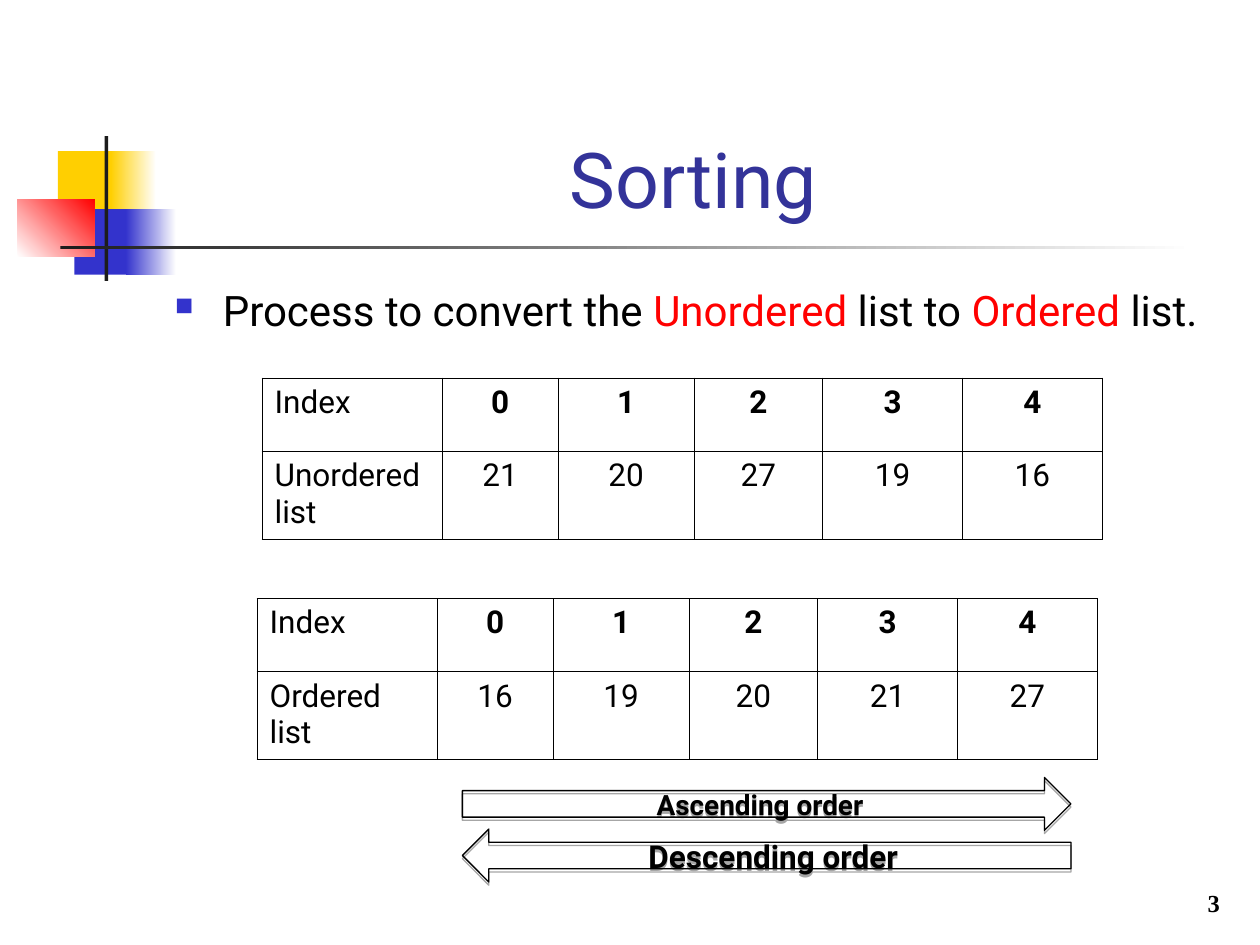
from lxml.etree import SubElement
from pptx import Presentation
from pptx.dml.color import RGBColor
from pptx.enum.shapes import MSO_SHAPE as SHAPE
from pptx.enum.text import MSO_ANCHOR as ANCHOR, PP_ALIGN as ALIGN
from pptx.oxml import parse_xml
from pptx.oxml.ns import nsdecls, qn
from pptx.util import Inches, Pt

BLACK = RGBColor(0x00, 0x00, 0x00)
WHITE = RGBColor(0xFF, 0xFF, 0xFF)
INK = RGBColor(0x1C, 0x1C, 0x1C)
YELLOW = RGBColor(0xFF, 0xCF, 0x01)
BLUE = RGBColor(0x33, 0x33, 0xCC)
NAVY = RGBColor(0x33, 0x33, 0x99)
RED = RGBColor(0xFF, 0x00, 0x00)

prs = Presentation()
prs.slide_width, prs.slide_height = Inches(10), Inches(7.5)
s = prs.slides.add_slide(prs.slide_layouts[6])
UNIT = prs.slide_width // 1000


def grid(*cells):
    return [c * UNIT for c in cells]


def write(tf, runs, size, align=ALIGN.LEFT, anchor=ANCHOR.TOP, bold=False, name="Roboto"):
    tf.word_wrap = True
    tf.vertical_anchor = anchor
    p = tf.paragraphs[0]
    p.alignment = align
    for text, color in runs:
        r = p.add_run()
        r.text = text
        for key, value in {"size": Pt(size), "bold": bold, "name": name}.items():
            setattr(r.font, key, value)
        r.font.color.rgb = color
    return p


for box, start, end, angle in [
    ((46, 120, 48, 52), YELLOW, None, 0),
    ((88, 120, 36, 52), YELLOW, WHITE, 0),
    ((59, 166, 46, 52), BLUE, None, 0),
    ((100, 166, 40, 52), BLUE, WHITE, 0),
    ((14, 158, 61, 46), WHITE, RED, 45),
    ((83, 108, 3, 115), INK, None, 0),
    ((48, 195, 900, 3), INK, WHITE, 0),
]:
    sp = s.shapes.add_shape(SHAPE.RECTANGLE, *grid(*box))
    sp.shadow.inherit = False
    sp.line.fill.background()
    if end is None:
        sp.fill.solid()
        sp.fill.fore_color.rgb = start
    else:
        sp.fill.gradient()
        sp.fill.gradient_angle = angle
        for stop, color in zip(sp.fill.gradient_stops, (start, end)):
            stop.color.rgb = color

title = s.shapes.add_textbox(*grid(132, 23, 852, 160))
write(title.text_frame, [("Sorting ", NAVY)], 44, ALIGN.CENTER, ANCHOR.BOTTOM)

body = s.shapes.add_textbox(*grid(129, 221, 850, 450))
p = write(body.text_frame, [
    ("Process to convert the ", BLACK), ("Unordered", RED), (" list to ", BLACK),
    ("Ordered", RED), (" list.", BLACK),
], 24)
p.space_before = Pt(6)
pPr = p._p.get_or_add_pPr()
pPr.set("marL", str(38 * UNIT))
pPr.set("indent", str(-38 * UNIT))
SubElement(SubElement(pPr, qn("a:buClr")), qn("a:srgbClr"), val=str(BLUE))
SubElement(pPr, qn("a:buSzPct"), val="60000")
SubElement(pPr, qn("a:buChar"), char="■")

COLUMNS = grid(143, 92, 108, 102, 111, 111)
ROWS = grid(58, 70)
for left, top, label, values in [
    (208, 300, "Unordered list", [21, 20, 27, 19, 16]),
    (204, 475, "Ordered list", [16, 19, 20, 21, 27]),
]:
    frame = s.shapes.add_table(2, 6, *grid(left, top), sum(COLUMNS), sum(ROWS))
    table = frame.table
    for column, width in zip(table.columns, COLUMNS):
        column.width = width
    for row, height in zip(table.rows, ROWS):
        row.height = height
    for i, texts in enumerate([["Index", *range(5)], [label, *values]]):
        for j, text in enumerate(texts):
            cell = table.cell(i, j)
            write(cell.text_frame, [(str(text), BLACK)], 18,
                  ALIGN.CENTER if j else ALIGN.LEFT, bold=i == 0 and j > 0)
            tcPr = cell._tc.get_or_add_tcPr()
            for side in "LRTB":
                ln = SubElement(tcPr, qn(f"a:ln{side}"), w=str(Pt(0.45)))
                SubElement(SubElement(ln, qn("a:solidFill")), qn("a:srgbClr"), val=str(BLACK))
            cell.fill.background()

for top, kind, text, size in [
    (617, SHAPE.RIGHT_ARROW, "Ascending order", 16),
    (658, SHAPE.LEFT_ARROW, "Descending order", 18),
]:
    sp = s.shapes.add_shape(kind, *grid(367, top, 483, 42))
    sp.fill.background()
    sp.line.color.rgb = BLACK
    sp.line.width = Pt(0.75)
    sp.shadow.inherit = False
    sp._element.spPr.find(qn("a:effectLst")).append(parse_xml(
        f'<a:outerShdw {nsdecls("a")} blurRad="0" dist="{Pt(1.8)}" dir="5400000" rotWithShape="0">'
        f'<a:srgbClr val="{BLACK}"><a:alpha val="35000"/></a:srgbClr></a:outerShdw>'))
    write(sp.text_frame, [(text, BLACK)], size, ALIGN.CENTER, ANCHOR.MIDDLE, True)

number = s.shapes.add_textbox(*grid(770, 683, 208, 50))
write(number.text_frame, [("3", BLACK)], 14, ALIGN.RIGHT, ANCHOR.BOTTOM, True, "Times New Roman")

prs.save("out.pptx")
